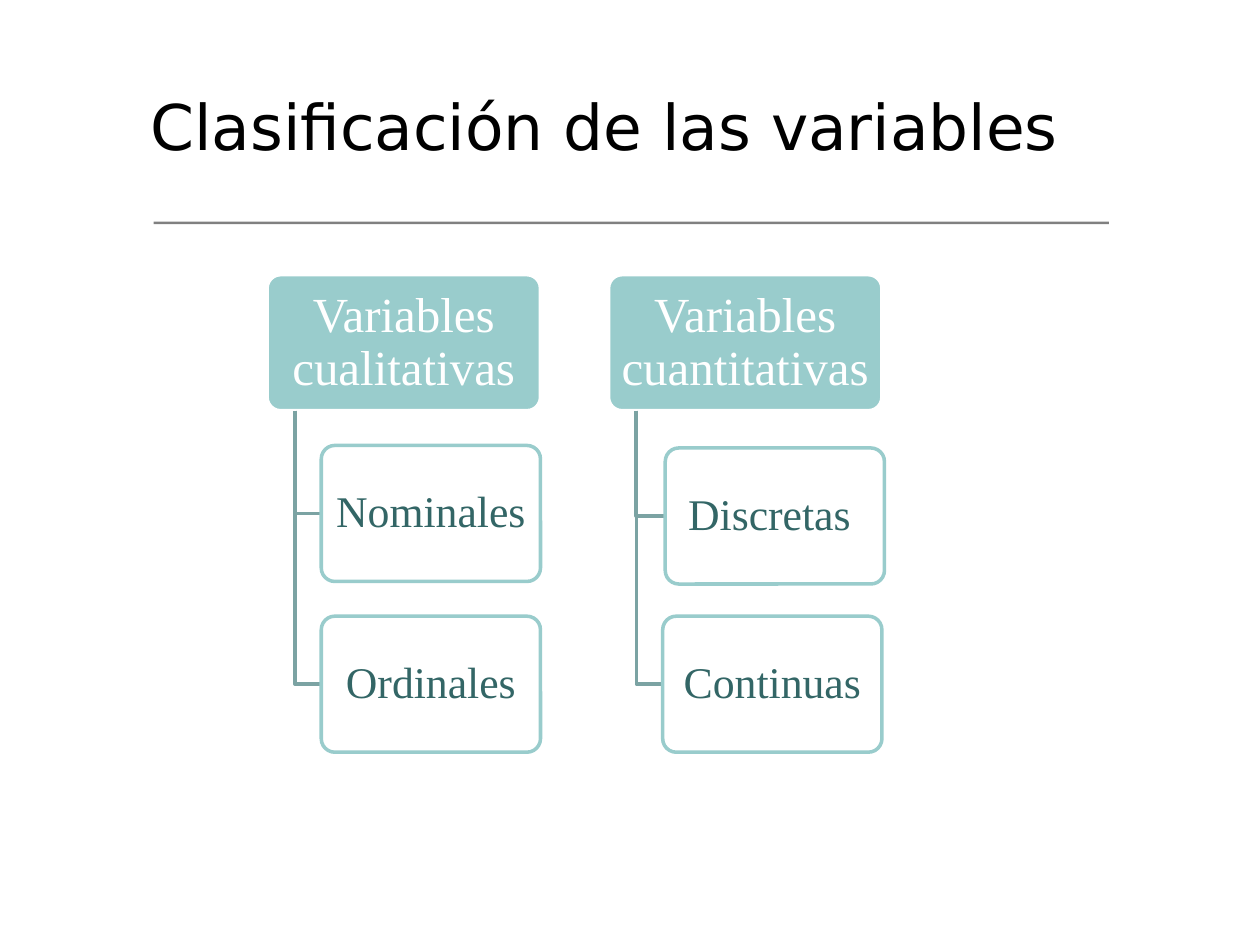
from lxml.etree import SubElement
from pptx import Presentation
from pptx.dml.color import RGBColor
from pptx.enum.shapes import MSO_SHAPE as Shape
from pptx.enum.text import MSO_ANCHOR as Anchor, PP_ALIGN as Align
from pptx.oxml.ns import qn
from pptx.util import Inches, Pt

BLACK = RGBColor(0x00, 0x00, 0x00)
WHITE = RGBColor(0xFF, 0xFF, 0xFF)
GREY = RGBColor(0x80, 0x80, 0x80)
AQUA = RGBColor(0x99, 0xCC, 0xCC)
TEAL = RGBColor(0x33, 0x66, 0x66)
BRANCH = RGBColor(0x7B, 0xA3, 0xA3)

# Grid of the tree, in inches
LEFT, TOP = 2.12, 2.18
COLUMN, ROW = 2.71, 1.355
HEADER_WIDTH, LEAF_WIDTH, HEIGHT = 2.17, 1.74, 1.08
STEM, INDENT = 0.22, 0.43

# Header, then each leaf with its nudge right and down
TREE = [
    ("Variables cualitativas", [("Nominales", 0), ("Ordinales", 0)]),
    ("Variables cuantitativas", [("Discretas ", 0.02), ("Continuas", 0)]),
]

deck = Presentation()
deck.slide_width, deck.slide_height = Inches(10), Inches(7.5)
page = deck.slides.add_slide(deck.slide_layouts[5])


def add_box(text, left, top, width, size, fill, line, color):
    box = page.shapes.add_shape(Shape.ROUNDED_RECTANGLE, Inches(left), Inches(top),
                                Inches(width), Inches(HEIGHT))
    box.adjustments[0] = 0.1
    box.shadow.inherit = False
    box.fill.solid()
    box.fill.fore_color.rgb = fill
    box.line.color.rgb = line
    box.line.width = Pt(2)
    frame = box.text_frame
    frame.word_wrap = True
    frame.vertical_anchor = Anchor.MIDDLE
    # The rounded corners already inset the text, so the margins stay small
    frame.margin_left = frame.margin_right = Inches(0.04)
    frame.margin_top = frame.margin_bottom = Inches(0.03)
    para = frame.paragraphs[0]
    para.text = text
    para.alignment = Align.CENTER
    para.line_spacing = 0.9
    para.font.name = "Times New Roman"
    para.font.size = Pt(size)
    para.font.color.rgb = color
    return box


# Title
title = page.shapes.title
title.left, title.top = Inches(0.91), Inches(0.37)
title.width, title.height = Inches(7.78), Inches(1.25)
title.text_frame.vertical_anchor = Anchor.MIDDLE
para = title.text_frame.paragraphs[0]
para.text = "Clasificación de las variables"
para.alignment = Align.CENTER
para.font.name = "DejaVu Sans"
para.font.size = Pt(36)
para.font.color.rgb = BLACK

# Rule under the title
rule = page.shapes.add_shape(Shape.RECTANGLE, Inches(1.22), Inches(1.76),
                             Inches(7.58), Inches(0.02))
rule.shadow.inherit = False
rule.fill.solid()
rule.fill.fore_color.rgb = GREY
rule.line.fill.background()

# One column per kind of variable
for column, (heading, leaves) in enumerate(TREE):
    left = LEFT + column * COLUMN
    add_box(heading, left, TOP, HEADER_WIDTH, 28, AQUA, WHITE, WHITE)

    for row, (name, nudge) in enumerate(leaves, start=1):
        leaf_left = left + INDENT + nudge
        leaf_top = TOP + row * ROW + nudge
        middle = leaf_top + HEIGHT / 2

        # Branch from the header to the leaf
        pen = page.shapes.build_freeform(Inches(left + STEM), Inches(TOP + HEIGHT))
        pen.add_line_segments([(Inches(left + STEM), Inches(middle)),
                               (Inches(leaf_left), Inches(middle))], close=False)
        branch = pen.convert_to_shape()
        branch.shadow.inherit = False
        branch.fill.background()
        branch.line.color.rgb = BRANCH
        branch.line.width = Pt(2)

        # Leaf, its white fill slightly see-through
        leaf = add_box(name, leaf_left, leaf_top, LEAF_WIDTH, 25, WHITE, AQUA, TEAL)
        tint = leaf._element.spPr.find(qn("a:solidFill")).find(qn("a:srgbClr"))
        SubElement(tint, qn("a:alpha"), val="90000")

deck.save("out.pptx")
